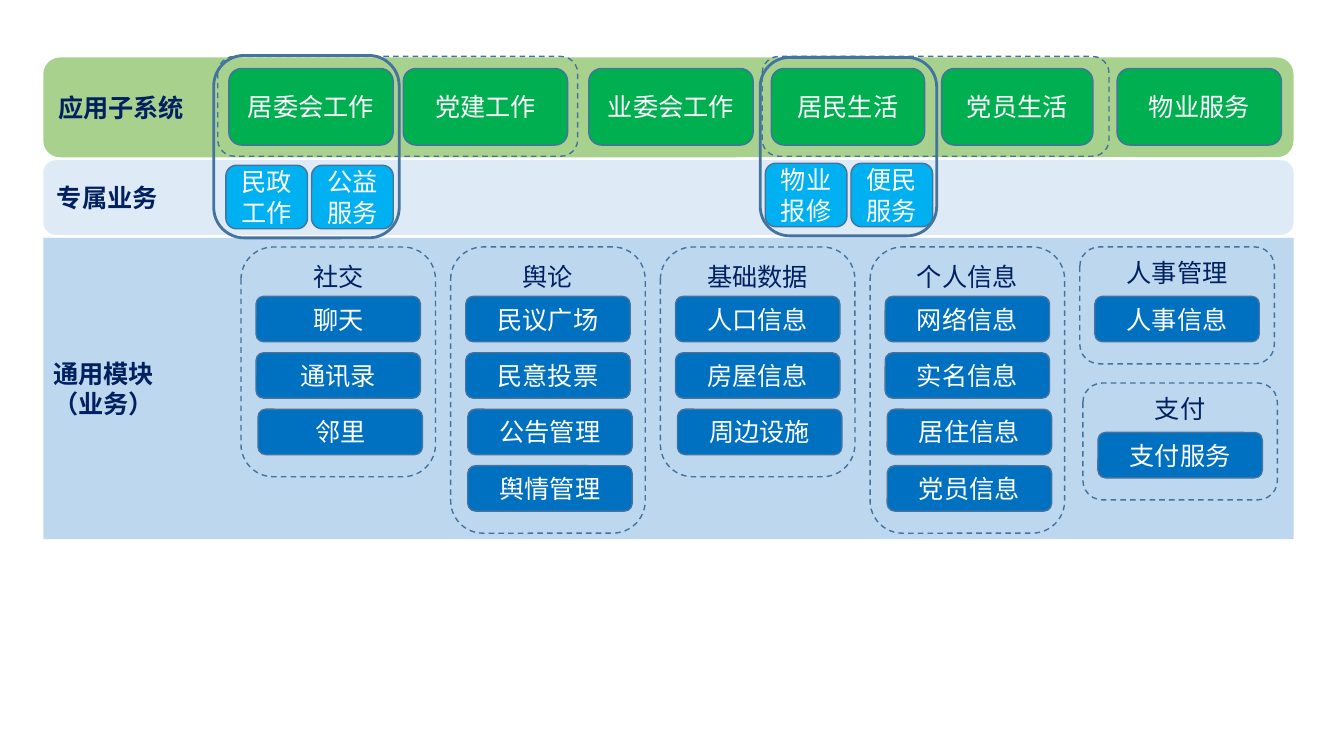
from pptx import Presentation
from pptx import util as u
from pptx.dml import color as colors
from pptx.enum import dml, shapes, text

WIDTH, HEIGHT = 13.33, 7.5
NAVY, WHITE, EDGE = "002060", "FFFFFF", "43739E"
GREEN, SKY, BLUE = "00B050", "00B0F0", "0070C0"
COLUMN, ROW = 2.08, 0.56            # pitch of the module grid
GRID_LEFT, GRID_TOP = 2.39, 2.45
ITEM_LEFT, ITEM_TOP = 0.15, 0.49    # first item inside its group
BAND_LEFT, BAND_WIDTH = 0.43, 12.4


def rgb(value):
    """Turn a hex string into a colour."""
    return colors.RGBColor.from_string(value)


def add_box(place, words="", fill=None, ink=WHITE, line=1, dashed=False,
            bold=False, align=text.PP_ALIGN.CENTER,
            anchor=text.MSO_ANCHOR.MIDDLE,
            outline=shapes.MSO_SHAPE.ROUNDED_RECTANGLE):
    """Add a box at (left, top, width, height) with its styled text."""
    box = page.shapes.add_shape(outline, *map(u.Inches, place))
    box.shadow.inherit = False
    if fill:
        box.fill.solid()
        box.fill.fore_color.rgb = rgb(fill)
    else:
        box.fill.background()
    if line:
        box.line.color.rgb = rgb(EDGE)
        box.line.width = u.Pt(line)
        if dashed:
            box.line.dash_style = dml.MSO_LINE.DASH
    else:
        box.line.fill.background()
    if words:
        frame = box.text_frame
        frame.word_wrap = True
        frame.vertical_anchor = anchor
        frame.text = words
        for para in frame.paragraphs:
            para.alignment = align
            para.font.name = "Calibri"
            para.font.size = u.Pt(18)
            para.font.bold = bold
            para.font.color.rgb = rgb(ink)


deck = Presentation()
deck.slide_width, deck.slide_height = u.Inches(WIDTH), u.Inches(HEIGHT)
page = deck.slides.add_slide(deck.slide_layouts[6])

# Layer bands
rounded = shapes.MSO_SHAPE.ROUNDED_RECTANGLE
square = shapes.MSO_SHAPE.RECTANGLE
bands = [
    ("通用模块\n（业务）", 2.36, 2.99, "BDD7EE", square),
    ("专属业务", 1.59, 0.74, "DEEBF7", rounded),
    ("应用子系统", 0.57, 0.99, "A9D18E", rounded),
]
for label, top, height, fill, outline in bands:
    add_box((BAND_LEFT, top, BAND_WIDTH, height), label, fill, NAVY, line=0,
            bold=True, align=text.PP_ALIGN.LEFT, outline=outline)

# Application subsystems
subsystems = [
    ("居委会工作", 2.27, 1.63), ("党建工作", 4.0, 1.63),
    ("业委会工作", 5.84, 1.63), ("居民生活", 7.65, 1.52),
    ("党员生活", 9.34, 1.5), ("物业服务", 11.08, 1.63),
]
for label, left, width in subsystems:
    add_box((left, 0.68, width, 0.76), label, GREEN)
for left, width in [(2.16, 3.57), (7.56, 3.44)]:
    add_box((left, 0.56, width, 0.99), dashed=True)

# Dedicated services, in pairs
pairs = [(2.24, 1.64, ["民政工作", "公益服务"]),
         (7.59, 1.62, ["物业报修", "便民服务"])]
for left, top, services in pairs:
    for index, label in enumerate(services):
        add_box((left + 0.85 * index, top, 0.81, 0.63), label, SKY)

# Shared modules: column, offset from the grid corner, title, items
groups = [
    (0, 0, 0, "社交", ["聊天", "通讯录", "邻里"]),
    (1, 0, 0, "舆论", ["民议广场", "民意投票", "公告管理", "舆情管理"]),
    (2, 0, 0, "基础数据", ["人口信息", "房屋信息", "周边设施"]),
    (3, 0, 0, "个人信息", ["网络信息", "实名信息", "居住信息", "党员信息"]),
    (4, 0, 0, "人事管理", ["人事信息"]),
    (4, 0.03, 1.35, "支付", ["支付服务"]),
]
for column, shift, drop, title, items in groups:
    left, top = GRID_LEFT + COLUMN * column + shift, GRID_TOP + drop
    add_box((left, top, 1.93, 1.16 + ROW * (len(items) - 1)), title, ink=NAVY,
            dashed=True, anchor=text.MSO_ANCHOR.TOP)
    for row, label in enumerate(items):
        nudge = 0.02 if row >= 2 else 0
        add_box((left + ITEM_LEFT + nudge, top + ITEM_TOP + ROW * row,
                 1.63, 0.45), label, BLUE)

# Frames tying subsystems to their services
for frame_place in [(2.12, 0.55, 1.84, 1.81), (7.54, 0.57, 1.75, 1.77)]:
    add_box(frame_place, line=2)

deck.save("out.pptx")
